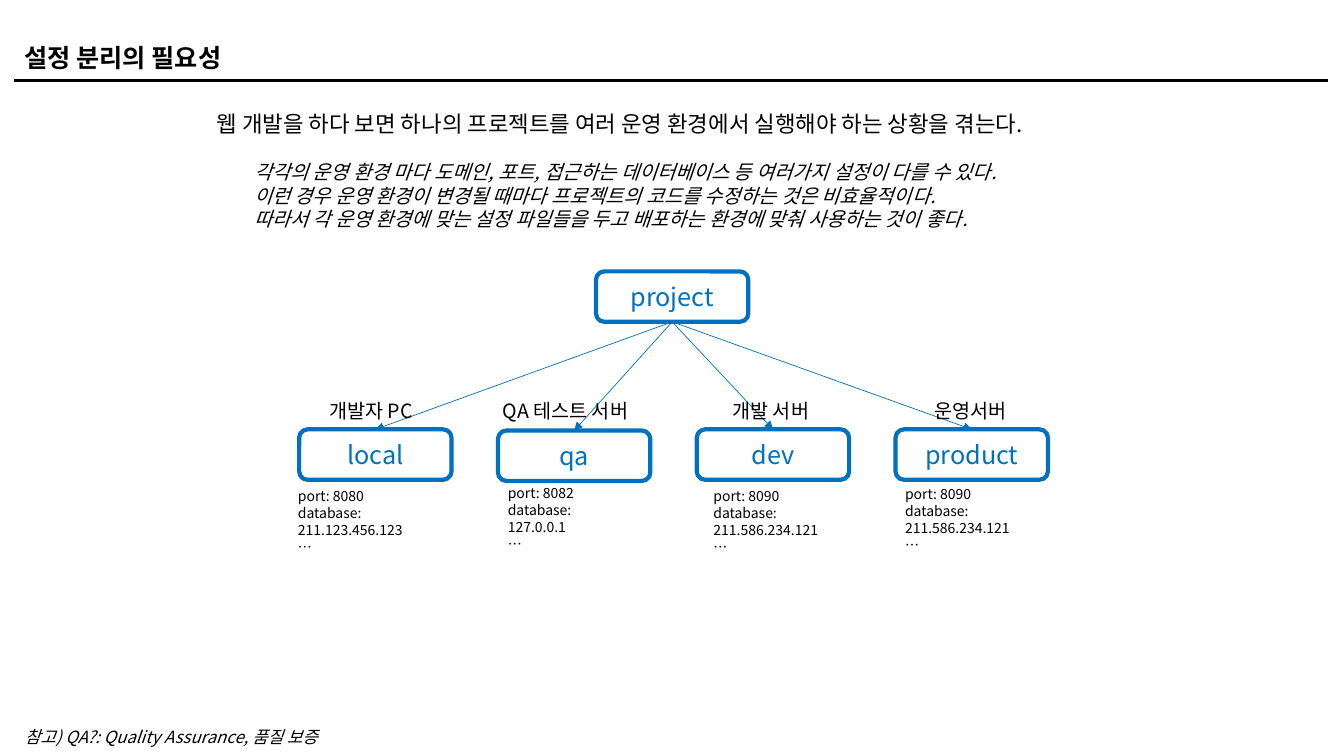
from dataclasses import dataclass

from lxml import etree
from pptx import Presentation
from pptx.dml.color import RGBColor
from pptx.enum.shapes import MSO_CONNECTOR, MSO_SHAPE
from pptx.enum.text import MSO_ANCHOR, MSO_AUTO_SIZE, PP_ALIGN
from pptx.oxml.ns import qn
from pptx.shapes.autoshape import Shape
from pptx.shapes.connector import Connector
from pptx.slide import Slide
from pptx.util import Cm, Pt

STRAIGHT = MSO_CONNECTOR.STRAIGHT
ROUNDED = MSO_SHAPE.ROUNDED_RECTANGLE
TOP, MIDDLE = MSO_ANCHOR.TOP, MSO_ANCHOR.MIDDLE
LEFT, CENTER = PP_ALIGN.LEFT, PP_ALIGN.CENTER
NO_FIT = MSO_AUTO_SIZE.NONE

FONT = "Noto Sans CJK KR"
BLACK, BLUE = "000000", "0070C0"
BOX_WIDTH, BOX_HEIGHT = 3.84, 1.27
BOTTOM_SITE, TOP_SITE = 2, 0


@dataclass
class Area:
    left: float
    top: float
    width: float
    height: float


@dataclass
class Environment:
    name: str
    box_top: float
    label: str
    label_area: Area
    settings: list[str]
    settings_area: Area


ENVIRONMENTS = [
    Environment("local", 10.82, "개발자 PC", Area(8.05, 9.93, 2.79, 0.86),
                ["port: 8080", "database: 211.123.456.123", "…"],
                Area(7.26, 12.17, 4.7, 1.55)),
    Environment("qa", 10.85, "QA 테스트 서버", Area(12.42, 9.93, 4.06, 0.86),
                ["port: 8082", "database: 127.0.0.1", "…"],
                Area(12.55, 12.09, 3.5, 1.55)),
    Environment("dev", 10.82, "개발 서버", Area(18.21, 9.93, 2.69, 0.86),
                ["port: 8090", "database: 211.586.234.121", "…"],
                Area(17.73, 12.17, 4.7, 1.55)),
    Environment("product", 10.82, "운영서버", Area(23.29, 9.93, 2.51, 0.86),
                ["port: 8090", "database: 211.586.234.121", "…"],
                Area(22.56, 12.12, 4.7, 1.55)),
]


def rgb(color: str) -> RGBColor:
    return RGBColor.from_string(color)


def place(shape: Shape, area: Area) -> None:
    shape.left, shape.top = Cm(area.left), Cm(area.top)
    shape.width, shape.height = Cm(area.width), Cm(area.height)


def write(shape: Shape, lines: list[str], size: int, color: str = BLACK,
          bold: bool = False, italic: bool = False,
          align: PP_ALIGN = LEFT, anchor: MSO_ANCHOR = TOP) -> None:
    frame = shape.text_frame
    frame.text = "\n".join(lines)
    frame.word_wrap = True
    frame.auto_size = NO_FIT
    frame.vertical_anchor = anchor
    for paragraph in frame.paragraphs:
        paragraph.alignment = align
        paragraph.space_before = Pt(0)
        font = paragraph.font
        font.size, font.bold, font.italic = Pt(size), bold, italic
        font.color.rgb = rgb(color)
        font.name = FONT
        # East Asian letters take their own typeface element
        properties = paragraph._p.pPr.find(qn("a:defRPr"))
        etree.SubElement(properties, qn("a:ea"), typeface=FONT)


def add_text(slide: Slide, area: Area, lines: list[str], size: int,
             italic: bool = False) -> None:
    text_box = slide.shapes.add_textbox(0, 0, 0, 0)
    place(text_box, area)
    write(text_box, lines, size, italic=italic)


def add_box(slide: Slide, left: float, top: float, name: str) -> Shape:
    box = slide.shapes.add_shape(ROUNDED, Cm(left), Cm(top),
                                 Cm(BOX_WIDTH), Cm(BOX_HEIGHT))
    box.shadow.inherit = False
    box.fill.background()
    box.line.color.rgb = rgb(BLUE)
    box.line.width = Pt(3)
    write(box, [name], 18, BLUE, align=CENTER, anchor=MIDDLE)
    return box


def add_line(slide: Slide, color: str, width: float) -> Connector:
    line = slide.shapes.add_connector(STRAIGHT, Cm(0.36), Cm(2.03),
                                      Cm(33.48), Cm(2.03))
    line.line.color.rgb = rgb(color)
    line.line.width = Pt(width)
    etree.SubElement(line._element.spPr, qn("a:effectLst"))
    return line


def add_arrow(slide: Slide, source: Shape, target: Shape) -> None:
    arrow = add_line(slide, BLUE, 0.5)
    arrow.begin_connect(source, BOTTOM_SITE)
    arrow.end_connect(target, TOP_SITE)
    outline = arrow.line._get_or_add_ln()
    etree.SubElement(outline, qn("a:tailEnd"), type="triangle")


def main() -> None:
    presentation = Presentation()
    presentation.slide_width, presentation.slide_height = Cm(33.87), Cm(19.05)
    slide = presentation.slides.add_slide(presentation.slide_layouts[1])

    # Title and rule
    title, body = slide.placeholders
    place(title, Area(0.36, 0.94, 33.12, 1.02))
    write(title, ["설정 분리의 필요성"], 18, bold=True)
    add_line(slide, BLACK, 1.5)

    # Explanation
    add_text(slide, Area(5.21, 2.64, 23.44, 0.94),
             ["웹 개발을 하다 보면 하나의 프로젝트를 여러 운영 환경에서 실행해야 하는 상황을 겪는다."], 16)
    place(body, Area(6.15, 3.91, 21.56, 2.06))
    write(body, [
        "각각의 운영 환경 마다 도메인, 포트, 접근하는 데이터베이스 등 여러가지 설정이 다를 수 있다.",
        "이런 경우 운영 환경이 변경될 때마다 프로젝트의 코드를 수정하는 것은 비효율적이다.",
        "따라서 각 운영 환경에 맞는 설정 파일들을 두고 배포하는 환경에 맞춰 사용하는 것이 좋다.",
    ], 14, italic=True)
    for paragraph in body.text_frame.paragraphs:
        properties = paragraph._p.pPr
        properties.set("marL", "0")
        properties.set("indent", "0")
        properties.find(qn("a:defRPr")).addprevious(
            etree.Element(qn("a:buNone")))

    # Project and its environments
    project = add_box(slide, 15.02, 6.84, "project")
    for index, environment in enumerate(ENVIRONMENTS):
        box = add_box(slide, 7.54 + 5.01 * index, environment.box_top,
                      environment.name)
        add_arrow(slide, project, box)
        add_text(slide, environment.label_area, [environment.label], 14)
        add_text(slide, environment.settings_area, environment.settings, 10)

    # Footnote
    add_text(slide, Area(0.38, 18.19, 8.28, 0.76),
             ["참고) QA?: Quality Assurance, 품질 보증"], 12, italic=True)

    presentation.save("out.pptx")


if __name__ == "__main__":
    main()
